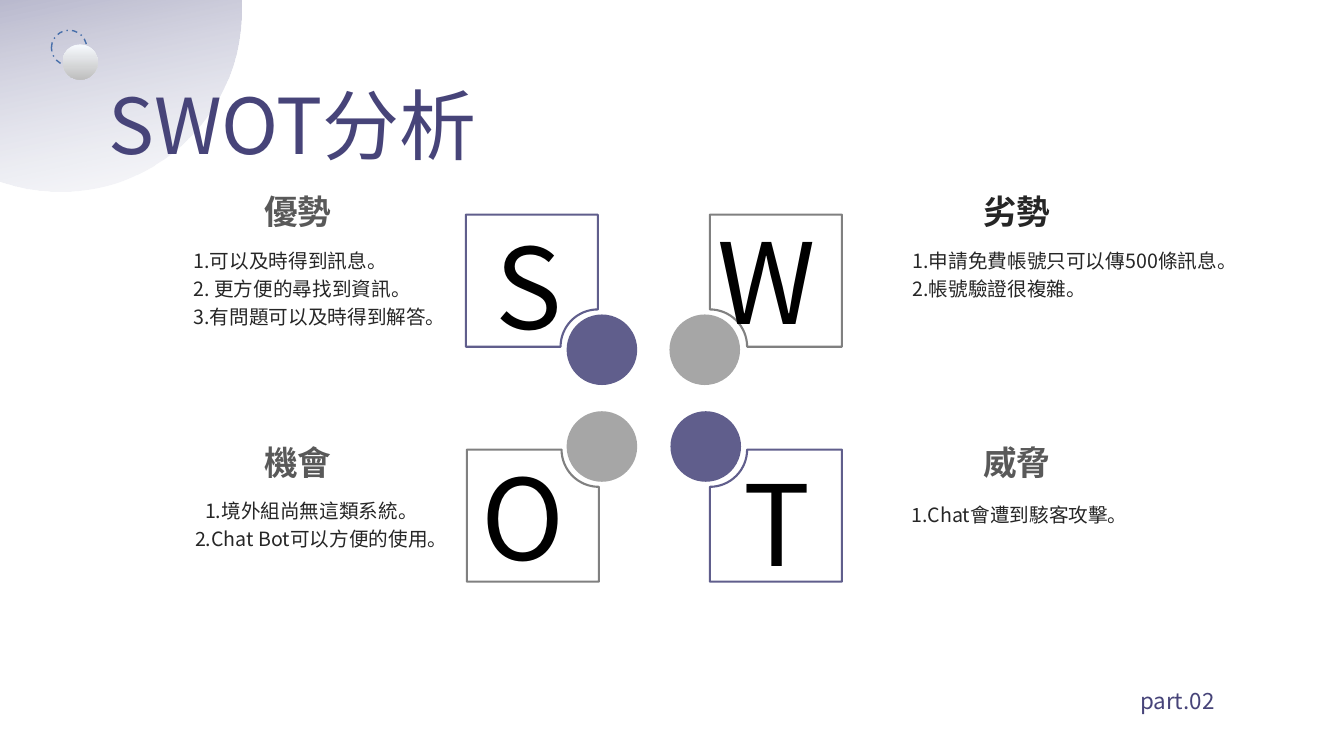
"""Build the SWOT analysis slide."""
from math import cos, pi, sin

from pptx import Presentation
from pptx.dml.color import RGBColor
from pptx.enum.dml import MSO_LINE
from pptx.enum.shapes import MSO_SHAPE
from pptx.enum.text import MSO_ANCHOR as ANCHOR, MSO_AUTO_SIZE as FIT, PP_ALIGN as ALIGN
from pptx.oxml.ns import qn
from pptx.util import Pt
from lxml.etree import SubElement

PX = 9144
FONT = "Noto Sans CJK SC"
PURPLE, VIOLET, SILVER, GRAY = "474479", "605E8C", "A6A6A6", "808080"
DARK, MID, BLACK = "262626", "595959", "000000"
BOX, NOTCH, DOT, STEPS = 131, 37, 70, 16


def rgb(color):
    return RGBColor.from_string(color)


def write(text, at, size, color, sp=None, align=None, spacing=None, bold=False,
          wrap=True, inset=None, anchor=ANCHOR.TOP, fit=FIT.NONE):
    sp = sp or s.shapes.add_textbox(0, 0, 0, 0)
    sp.left, sp.top, sp.width, sp.height = [v * PX for v in at]
    tf = sp.text_frame
    tf.word_wrap, tf.auto_size, tf.vertical_anchor = wrap, fit, anchor
    if inset is not None:
        tf.margin_left = tf.margin_right = tf.margin_top = tf.margin_bottom = inset
    for i, line in enumerate(text.split("\n")):
        p = tf.add_paragraph() if i else tf.paragraphs[0]
        p.alignment, p.line_spacing = align, spacing
        r = p.add_run()
        r.text = line
        r.font.size, r.font.bold, r.font.name = Pt(size), bold, FONT
        r.font.color.rgb = rgb(color)
        SubElement(r.font._element, qn("a:ea"), typeface=FONT)


prs = Presentation()
prs.slide_width, prs.slide_height = 1333 * PX, 750 * PX
s = prs.slides.add_slide(prs.slide_layouts[5])

for x, y, w, h, angle, end in [(-121, -173, 360, 363, 168, PURPLE),
                               (51, 30, 35, 35, 0, None),
                               (62, 44, 35, 35, 0, "BFBFBF")]:
    sp = s.shapes.add_shape(MSO_SHAPE.OVAL, x * PX, y * PX, w * PX, h * PX)
    sp.shadow.inherit = False
    sp.rotation = angle
    if end is None:
        sp.fill.background()
        sp.line.color.rgb = rgb("476FAA")
        sp.line.width = Pt(1)
        sp.line.dash_style = MSO_LINE.DASH_DOT
        continue
    sp.line.fill.background()
    sp.fill.gradient()
    sp.fill.gradient_angle = 270
    for stop, color in zip(sp.fill.gradient_stops, ("F7FAFE", end)):
        stop.color.rgb = rgb(color)
    if end == PURPLE:
        SubElement(sp._element.find(".//" + qn("a:srgbClr")), qn("a:alpha"), val="29000")

title = s.shapes.title
title._element.getparent().append(title._element)
write("SWOT分析", (98, 26, 497, 149), 55, PURPLE, sp=title, align=ALIGN.JUSTIFY,
      spacing=1.5, fit=FIT.SHAPE_TO_FIT_TEXT)
write("part.02", (1121, 663, 155, 46), 16, PURPLE, align=ALIGN.JUSTIFY,
      spacing=1.5, fit=FIT.SHAPE_TO_FIT_TEXT)

quadrants = [
    ("S", (482, 211, 85, 145), 593, 344, 1, 1, 562, 312, VIOLET, VIOLET),
    ("W", (702, 206, 134, 145), 704, 344, -1, 1, 664, 312, GRAY, SILVER),
    ("O", (468, 440, 112, 145), 594, 446, 1, -1, 562, 408, GRAY, SILVER),
    ("T", (728, 446, 85, 145), 704, 446, -1, -1, 665, 408, VIOLET, VIOLET),
]
for letter, at, cx, cy, dx, dy, dot_x, dot_y, edge, dot_fill in quadrants:
    dot = s.shapes.add_shape(MSO_SHAPE.OVAL, dot_x * PX, dot_y * PX, DOT * PX, DOT * PX)
    dot.shadow.inherit = False
    dot.fill.solid()
    dot.fill.fore_color.rgb = rgb(dot_fill)
    dot.line.fill.background()

    turns = [pi / 2 * i / STEPS for i in range(STEPS + 1)]
    offsets = [(NOTCH * sin(t), NOTCH * cos(t)) for t in turns]
    offsets += [(BOX, 0), (BOX, BOX), (0, BOX)]
    points = [(round((cx - dx * u) * PX), round((cy - dy * v) * PX)) for u, v in offsets]
    outline = s.shapes.build_freeform(*points[0])
    outline.add_line_segments(points[1:], close=True)
    frame = outline.convert_to_shape()
    frame.shadow.inherit = False
    frame.fill.background()
    frame.line.color.rgb = rgb(edge)
    frame.line.width = Pt(1.5)
    write(letter, at, 80, BLACK, wrap=False, fit=FIT.SHAPE_TO_FIT_TEXT)

notes = [
    ("優勢", 187, 183, MID, (192, 242, 260, 130), None,
     "1.可以及時得到訊息。\n2. 更方便的尋找到資訊。\n3.有問題可以及時得到解答。"),
    ("機會", 187, 432, MID, (192, 490, 234, 72), ALIGN.CENTER,
     "1.境外組尚無這類系統。\n2.Chat Bot可以方便的使用。"),
    ("劣勢", 900, 183, DARK, (905, 242, 309, 81), None,
     "1.申請免費帳號只可以傳500條訊息。\n2.帳號驗證很複雜。"),
    ("威脅", 900, 432, MID, (904, 494, 207, 32), None, "1.Chat會遭到駭客攻擊。"),
]
for heading, x, y, color, at, align, body in notes:
    write(heading, (x, y, 217, 46), 24, color, align=ALIGN.CENTER, bold=True,
          wrap=False, inset=0, anchor=ANCHOR.BOTTOM)
    write(body, at, 14, DARK, align=align, spacing=1.2, inset=0)

prs.save("out.pptx")
